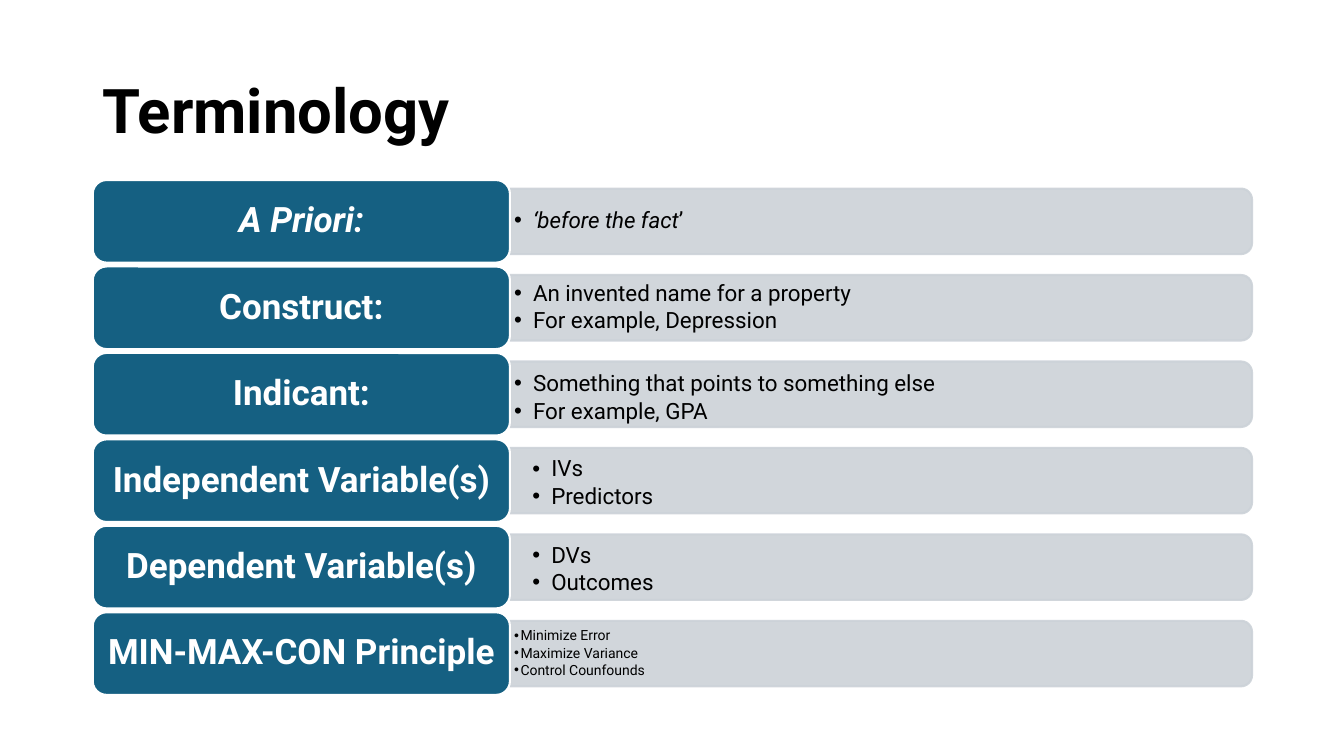
"""Build the Terminology slide: six terms, each beside a panel of points."""
from lxml.etree import SubElement
from pptx import Presentation
from pptx.dml.color import RGBColor
from pptx.enum.shapes import MSO_SHAPE
from pptx.enum.text import MSO_ANCHOR, MSO_AUTO_SIZE, PP_ALIGN
from pptx.oxml.ns import qn
from pptx.util import Pt

COLORS = {"label": "156082", "panel": "CCD2D8", "white": "FFFFFF", "black": "000000"}
FONT = "Roboto"
LEFT, FIRST_TOP, ROW_PITCH = 66.24, 128.6, 61.75
LABEL_WIDTH, LABEL_HEIGHT = 298, 59
PANEL_LEFT, PANEL_WIDTH, PANEL_HEIGHT = 364.3, 530, 46.8
LIST_WIDTH, LIST_HEIGHT = 527.8, 42.5

WIDE = {"size": 16, "hang": 13.5}
ROWS = [
    ("A Priori:", ["‘before the fact"], WIDE | {"italic": True, "closing": "’"}),
    ("Construct:", ["An invented name for a property", "For example, Depression"], WIDE),
    ("Indicant:", ["Something that points to something else", "For example, GPA"],
     WIDE | {"drop": 3}),
    ("Independent Variable(s)", ["IVs", "Predictors"], WIDE | {"inset": 16, "drop": 2}),
    ("Dependent Variable(s)", ["DVs", "Outcomes"], WIDE | {"inset": 16, "drop": 2}),
    ("MIN-MAX-CON Principle", ["Minimize Error", "Maximize Variance", "Control Counfounds"],
     {"size": 10, "hang": 4.5}),
]


def write(paragraph, text, size=16, color="black", bold=False, italic=False,
          align=PP_ALIGN.LEFT, after=0):
    """Add a formatted run to a paragraph."""
    paragraph.alignment = align
    paragraph.line_spacing = 0.9
    paragraph.space_before = Pt(0)
    paragraph.space_after = Pt(after)
    run = paragraph.add_run()
    run.text = text
    run.font.name = FONT
    run.font.size = Pt(size)
    run.font.bold = bold
    run.font.italic = italic
    run.font.color.rgb = RGBColor.from_string(COLORS[color])


def set_frame(frame, side, edge):
    """Wrap and centre a text frame vertically, with the given insets."""
    frame.word_wrap = True
    frame.auto_size = MSO_AUTO_SIZE.NONE
    frame.vertical_anchor = MSO_ANCHOR.MIDDLE
    frame.margin_left = frame.margin_right = Pt(side)
    frame.margin_top = frame.margin_bottom = Pt(edge)


def add_bullet(paragraph, hang):
    """Give a paragraph a round bullet with a hanging indent."""
    properties = paragraph._p.get_or_add_pPr()
    properties.set("marL", str(Pt(hang)))
    properties.set("indent", str(-Pt(hang)))
    SubElement(properties, qn("a:buFont")).set("typeface", "Arial")
    SubElement(properties, qn("a:buChar")).set("char", "•")


def add_box(slide, preset, left, top, width, height, fill, line):
    """Add a filled and outlined preset shape."""
    box = slide.shapes.add_shape(preset, Pt(left), Pt(top), Pt(width), Pt(height))
    box.shadow.inherit = False
    box.fill.solid()
    box.fill.fore_color.rgb = RGBColor.from_string(COLORS[fill])
    box.line.color.rgb = RGBColor.from_string(COLORS[line])
    box.line.width = Pt(1.5)
    return box


def add_panel(slide, middle):
    """Add a translucent panel whose right corners are rounded."""
    left = PANEL_LEFT + (PANEL_WIDTH - PANEL_HEIGHT) / 2
    panel = add_box(slide, MSO_SHAPE.ROUND_2_SAME_RECTANGLE, left, middle - PANEL_WIDTH / 2,
                    PANEL_HEIGHT, PANEL_WIDTH, "panel", "panel")
    panel.rotation = 90
    for color in panel._element.spPr.iter(qn("a:srgbClr")):
        SubElement(color, qn("a:alpha")).set("val", "90000")


def add_points(slide, middle, points, size, hang, italic=False, closing="", inset=3, drop=0):
    """Add the bulleted points that explain a term."""
    points_area = slide.shapes.add_textbox(
        Pt(PANEL_LEFT), Pt(middle - LIST_HEIGHT / 2 + drop), Pt(LIST_WIDTH), Pt(LIST_HEIGHT))
    frame = points_area.text_frame
    set_frame(frame, inset, 1.5)
    for index, point in enumerate(points):
        paragraph = frame.add_paragraph() if index else frame.paragraphs[0]
        write(paragraph, point, size=size, italic=italic, after=0.15 * size)
        add_bullet(paragraph, hang)
    if closing:
        write(paragraph, closing, size=size, after=0.15 * size)


def add_label(slide, middle, term, italic):
    """Add the rounded label that names a term."""
    label = add_box(slide, MSO_SHAPE.ROUNDED_RECTANGLE, LEFT, middle - LABEL_HEIGHT / 2,
                    LABEL_WIDTH, LABEL_HEIGHT, "label", "white")
    set_frame(label.text_frame, 5, 3.6)
    write(label.text_frame.paragraphs[0], term, size=25, color="white", bold=True,
          italic=italic, align=PP_ALIGN.CENTER)


def set_title(slide, text):
    """Place and fill the title placeholder."""
    title = slide.shapes.title
    title.left, title.top, title.width, title.height = Pt(66), Pt(28.75), Pt(828), Pt(104.4)
    set_frame(title.text_frame, 7.2, 3.6)
    write(title.text_frame.paragraphs[0], text, size=44, bold=True)


def main():
    """Build and save the slide."""
    presentation = Presentation()
    presentation.slide_width, presentation.slide_height = Pt(960), Pt(540)
    slide = presentation.slides.add_slide(presentation.slide_layouts[5])
    set_title(slide, "Terminology")
    for index, (term, points, style) in enumerate(ROWS):
        middle = FIRST_TOP + index * ROW_PITCH + LABEL_HEIGHT / 2
        add_panel(slide, middle)
        add_points(slide, middle, points, **style)
        add_label(slide, middle, term, style.get("italic", False))
    presentation.save("out.pptx")


if __name__ == "__main__":
    main()
